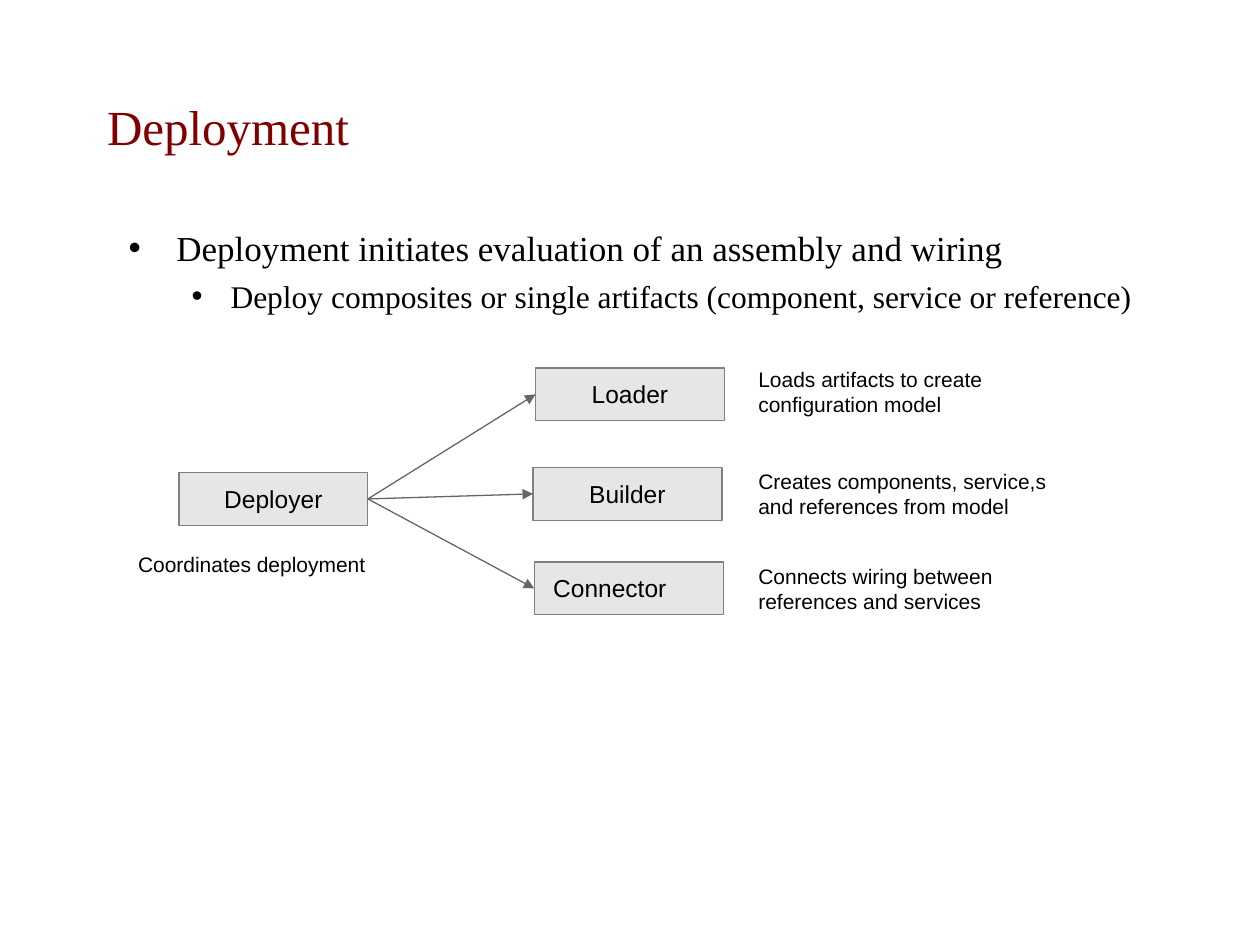
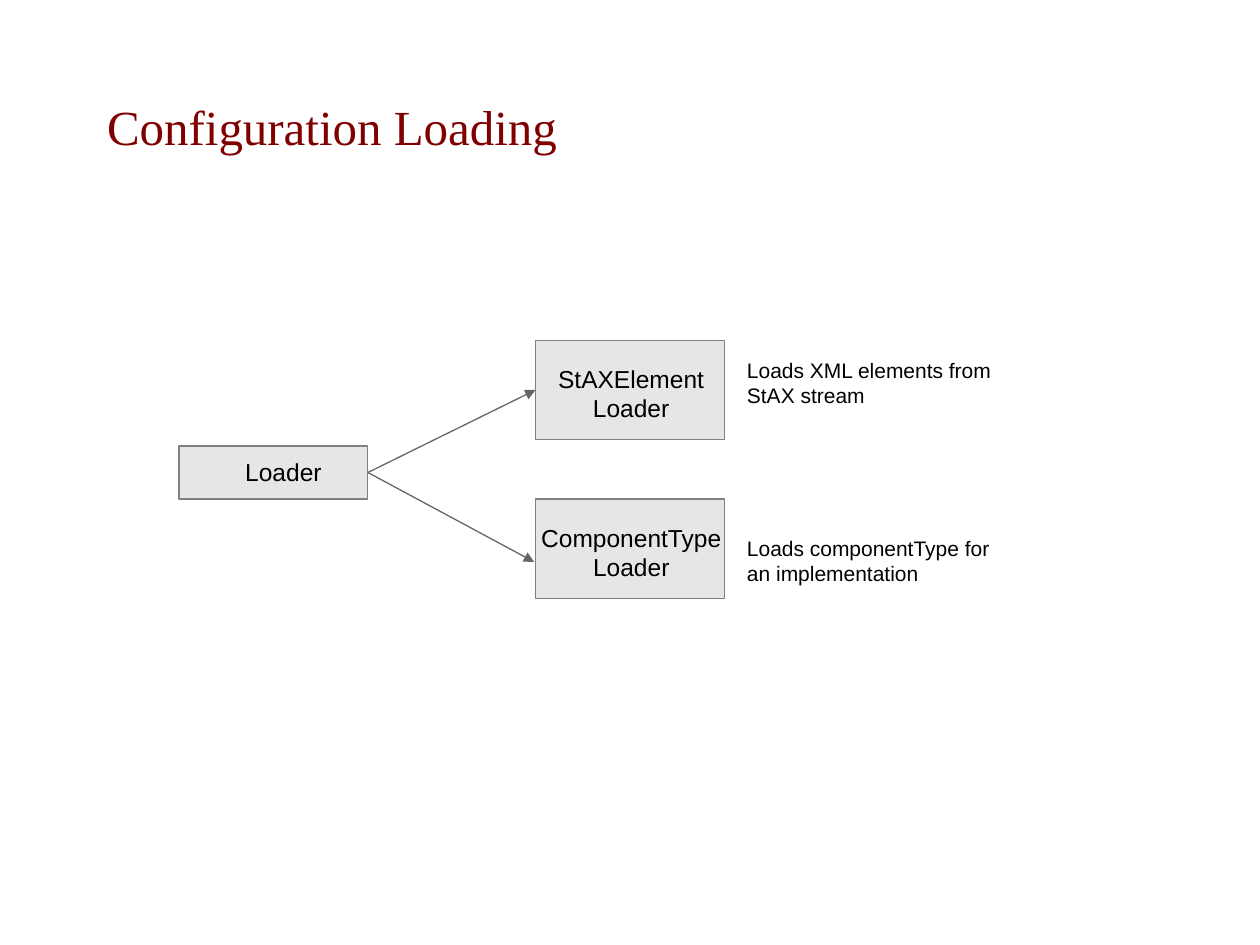
from lxml import etree
from pptx import Presentation
from pptx import util as u
from pptx.dml.color import RGBColor
from pptx.enum import shapes, text
from pptx.oxml.ns import qn

# ---- Shared style ----
COLORS = {"title": "800000", "text": "000000", "box": "E6E6E6",
          "border": "808080", "arrow": "666666"}
SERIF, SANS = "Times New Roman", "Arial"
LEFT, CENTER, RIGHT = text.PP_ALIGN.LEFT, text.PP_ALIGN.CENTER, text.PP_ALIGN.RIGHT
TITLE_AREA = (0.75, 0.5, 8.5, 1)
BODY_AREA = (0.92, 1.75, 8.5, 4.83)
BOX_WIDTH = 1.5
LINE_HEIGHT = 0.23
BULLET_LEVELS = [  # size, left margin, hanging indent, space before
    (20, 0.38, 0.38, 0), (18, 0.81, 0.31, 4.5)]

# ---- Content ----
# box: (label, left, top, height, label width, label shift from the box centre)
# target: (box, arrow tip, or None for the middle of the left side)
# note: (wording, left, top, width, alignment)
SLIDES = [
    {"title": "Deployment",
     "bullets": [
         (0, "Deployment initiates evaluation of an assembly and wiring"),
         (1, "Deploy composites or single artifacts (component, service or reference)")],
     "source": ("Deployer", 1.42, 3.75, 0.42, 1, 0),
     "targets": [
         (("Loader", 4.25, 2.92, 0.42, 0.84, 0), None),
         (("Builder", 4.23, 3.71, 0.42, 0.84, 0), None),
         (("Connector", 4.24, 4.46, 0.42, 1.14, -0.15), None)],
     "notes": [
         ("Loads artifacts to create configuration model", 5.92, 2.86, 2.25, LEFT),
         ("Creates components, service,s and references from model",
          5.92, 3.67, 2.58, LEFT),
         ("Connects wiring between references and services", 5.92, 4.42, 2.25, LEFT),
         ("Coordinates deployment", 0.75, 4.33, 2.25, RIGHT)]},
    {"title": "Configuration Loading",
     "bullets": [],
     "source": ("Loader", 1.42, 3.54, 0.42, 0.84, 0.08),
     "targets": [
         (("StAXElement\nLoader", 4.25, 2.7, 0.79, 1.4, 0.01), None),
         (("ComponentType\nLoader", 4.25, 3.96, 0.79, 1.68, 0.01), (4.24, 4.46))],
     "notes": [
         ("Loads XML elements from StAX stream", 5.83, 2.79, 2.25, LEFT),
         ("Loads componentType for an implementation", 5.83, 4.2, 2.25, LEFT)]},
]


def color(name):
    return RGBColor.from_string(COLORS[name])


def place(shape, area):
    shape.left, shape.top, shape.width, shape.height = map(u.Inches, area)


def style(para, size, face, name, align=LEFT):
    para.alignment = align
    para.font.size = u.Pt(size)
    para.font.name = face
    para.font.color.rgb = color(name)


def add_text(page, words, area, size, align=LEFT, wrap=True):
    box = page.shapes.add_textbox(*map(u.Inches, area))
    box.text_frame.word_wrap = wrap
    box.text_frame.text = words
    for para in box.text_frame.paragraphs:
        style(para, size, SANS, "text", align)


def add_title(page, words):
    title = page.shapes.title
    place(title, TITLE_AREA)
    title.text_frame.text = words
    title.text_frame.vertical_anchor = text.MSO_ANCHOR.MIDDLE
    style(title.text_frame.paragraphs[0], 28, SERIF, "title")


def add_bullets(page, bullets):
    body = page.placeholders[1]
    place(body, BODY_AREA)
    frame = body.text_frame
    frame.auto_size = text.MSO_AUTO_SIZE.NONE
    frame.text = "\n".join(words for _, words in bullets)
    for para, (level, _) in zip(frame.paragraphs, bullets):
        size, margin, hanging, before = BULLET_LEVELS[level]
        para.level = level
        props = para._p.get_or_add_pPr()
        props.set("marL", str(u.Inches(margin)))
        props.set("indent", str(-u.Inches(hanging)))
        etree.SubElement(props, qn("a:buChar"), char="•")
        para.space_before = u.Pt(before)
        style(para, size, SERIF, "text")


def add_box(page, label, left, top, height, label_width, shift):
    box = page.shapes.add_shape(shapes.MSO_SHAPE.RECTANGLE, *map(
        u.Inches, (left, top, BOX_WIDTH, height)))
    box.shadow.inherit = False
    box.fill.solid()
    box.fill.fore_color.rgb = color("box")
    box.line.color.rgb = color("border")
    box.line.width = u.Pt(0.75)
    # Label: one line sits near the top edge, two lines a little lower
    lines = label.count("\n") + 1
    label_left = left + (BOX_WIDTH - label_width) / 2 + shift
    area = (label_left, top + 0.1 * lines - 0.06, label_width, LINE_HEIGHT * lines + 0.11)
    add_text(page, label, area, 14, CENTER, wrap=False)
    return box


def add_arrow(page, source, target, tip):
    end = map(u.Inches, tip or (0, 0))
    arrow = page.shapes.add_connector(shapes.MSO_CONNECTOR.STRAIGHT, 0, 0, *end)
    arrow.begin_connect(source, 3)
    if tip is None:
        arrow.end_connect(target, 1)
    arrow.line.color.rgb = color("arrow")
    arrow.line.width = u.Pt(0.75)
    etree.SubElement(arrow.line._get_or_add_ln(), qn("a:tailEnd"), type="triangle")
    etree.SubElement(arrow._element.spPr, qn("a:effectLst"))


def main():
    deck = Presentation()
    deck.slide_width, deck.slide_height = u.Inches(10), u.Inches(7.5)
    for content in SLIDES:
        layout = "Title and Content" if content["bullets"] else "Title Only"
        page = deck.slides.add_slide(deck.slide_layouts.get_by_name(layout))
        add_title(page, content["title"])
        if content["bullets"]:
            add_bullets(page, content["bullets"])
        # Diagram: one source box with an arrow to each target
        source = add_box(page, *content["source"])
        for target, tip in content["targets"]:
            add_arrow(page, source, add_box(page, *target), tip)
        for words, left, top, width, align in content["notes"]:
            height = 0.3 if align == RIGHT else 0.5
            add_text(page, words, (left, top, width, height), 12, align)
    deck.save("out.pptx")


if __name__ == "__main__":
    main()
